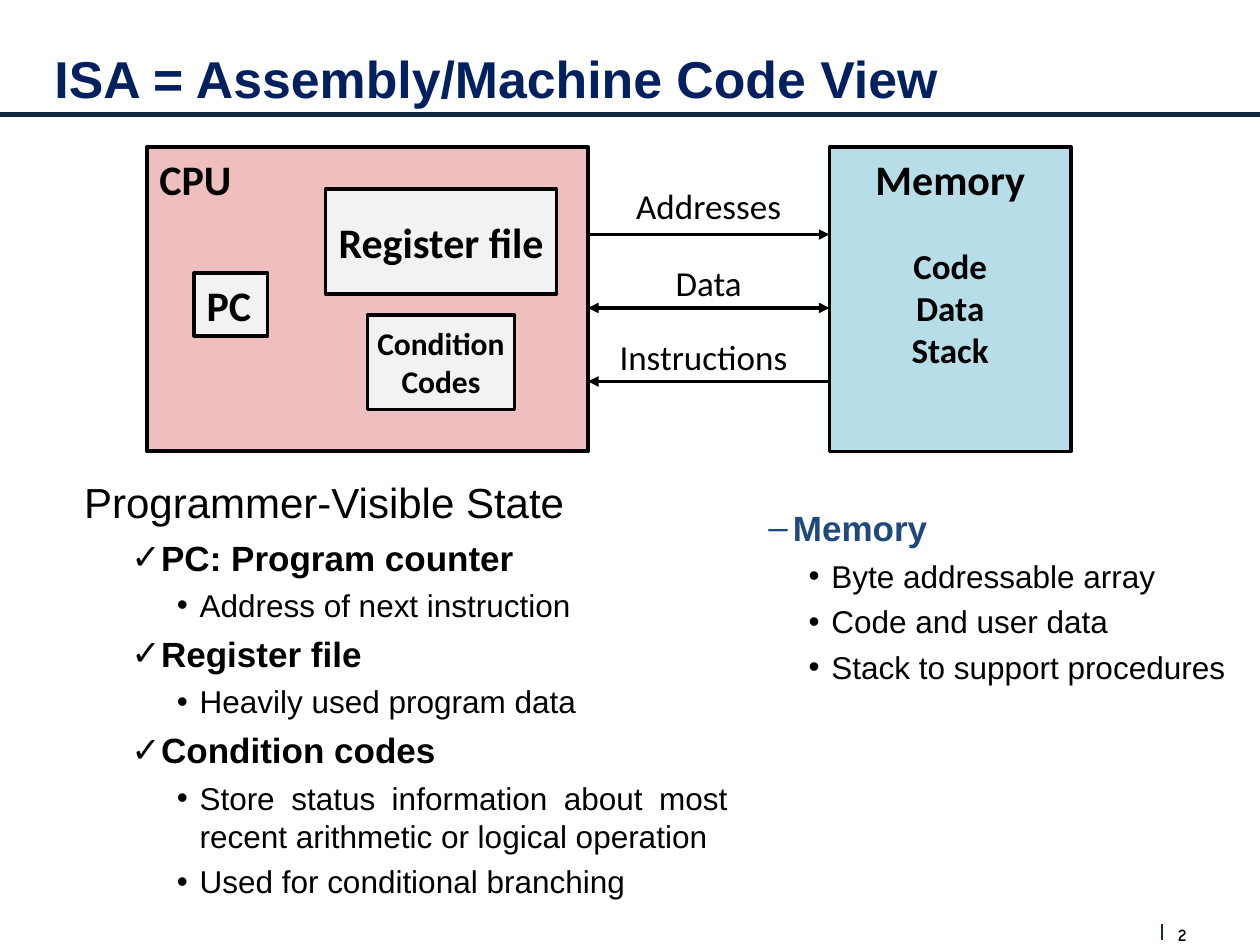
from lxml import etree
from pptx import Presentation
from pptx.dml.color import RGBColor
from pptx.enum.shapes import MSO_CONNECTOR as Conn, MSO_SHAPE as Kind
from pptx.enum.text import MSO_ANCHOR as Anchor, PP_ALIGN as Align
from pptx.oxml.ns import qn
from pptx.util import Pt

BLACK = RGBColor(0x00, 0x00, 0x00)
WHITE = RGBColor(0xFF, 0xFF, 0xFF)
NAVY = RGBColor(0x00, 0x20, 0x60)
RULE = RGBColor(0x10, 0x25, 0x3F)
TICK = RGBColor(0x17, 0x2F, 0x37)
BLUE = RGBColor(0x1F, 0x49, 0x7D)
PINK = RGBColor(0xEF, 0xBF, 0xBF)
AQUA = RGBColor(0xB7, 0xDE, 0xE8)
GREY = RGBColor(0xF2, 0xF2, 0xF2)


def style(para, size, bold=False, color=BLACK, face="Calibri"):
    for run in para.runs:
        font = run.font
        font.size, font.bold, font.name = Pt(size), bold, face
        font.color.rgb = color


def write(shape, text, size, bold=False, align=Align.LEFT, anchor=Anchor.TOP,
          wrap=True, color=BLACK, face="Calibri"):
    frame = shape.text_frame
    frame.text = text
    frame.word_wrap, frame.vertical_anchor = wrap, anchor
    for para in frame.paragraphs:
        para.alignment = align
        style(para, size, bold, color, face)
    return frame


def label(slide, x, y, w, h, text, size, **opts):
    box = slide.shapes.add_textbox(Pt(x), Pt(y), Pt(w), Pt(h))
    return write(box, text, size, **opts)


def block(slide, x, y, w, h, fill, line=2):
    shape = slide.shapes.add_shape(Kind.RECTANGLE, Pt(x), Pt(y), Pt(w), Pt(h))
    shape.shadow.inherit = False
    shape.fill.solid()
    shape.fill.fore_color.rgb = fill
    if line:
        shape.line.color.rgb = BLACK
        shape.line.width = Pt(line)
    else:
        shape.line.fill.background()
    return shape


def rule(slide, x1, y1, x2, y2, color, width, ends=()):
    line = slide.shapes.add_connector(
        Conn.STRAIGHT, Pt(x1), Pt(y1), Pt(x2), Pt(y2))
    line.line.color.rgb = color
    line.line.width = Pt(width)
    stroke = line.line._get_or_add_ln()
    for end in ends:
        etree.SubElement(stroke, qn("a:" + end), type="triangle")
    etree.SubElement(line._element.spPr, qn("a:effectLst"))


def bullet(para, mark, color, left, hang):
    props = para._p.get_or_add_pPr()
    props.set("marL", str(Pt(left)))
    props.set("indent", str(Pt(-hang)))
    if mark:
        tint = etree.SubElement(props, qn("a:buClr"))
        etree.SubElement(tint, qn("a:srgbClr"), val=str(color))
        etree.SubElement(props, qn("a:buFont"), typeface="Arial")
        etree.SubElement(props, qn("a:buChar"), char=mark)
    else:
        etree.SubElement(props, qn("a:buNone"))


def outline(shape, rows, levels):
    """Fill a shape with (level, text) rows, each level having its own look."""
    frame = shape.text_frame
    frame.word_wrap, frame.vertical_anchor = True, Anchor.TOP
    for i, (level, text) in enumerate(rows):
        mark, color, left, hang, size, bold, gap = levels[level]
        para = frame.add_paragraph() if i else frame.paragraphs[0]
        para.text = text
        para.level = level
        bullet(para, mark, color, left, hang)
        para.alignment = Align.JUSTIFY
        if i:
            para.space_before = Pt(gap)
        style(para, size, bold, color, "Arial")


def header(slide, x, y, w, h):
    rule(slide, 0, 65.5, 720, 65.5, RULE, 3)
    frame = label(slide, x, y, w, h, "ISA = Assembly/Machine Code View", 29.6,
                  bold=True, anchor=Anchor.MIDDLE, color=NAVY, face="Arial")
    frame.paragraphs[0].line_spacing = 0.9


def footer(slide, x, y, h):
    rule(slide, x, y, x, y + h, TICK, 0.75)
    frame = label(slide, x + 9, y, 24, 12, "2", 10, bold=True,
                  face="Comic Neue")
    frame.margin_left = frame.margin_right = 0
    frame.margin_top = frame.margin_bottom = 0


def diagram(slide, x, y, w, h):
    cpu, mem = 252, 138
    # CPU and its parts
    write(block(slide, x, y, cpu, h, PINK, 2.25), "CPU", 24, bold=True)
    parts = [("PC", 27, 72, 42, 36, 24, Align.LEFT),
             ("Register file", 102, 24, 132, 60, 24, Align.CENTER),
             ("Condition\nCodes", 126, 96, 84, 54, 18, Align.CENTER)]
    for text, dx, dy, pw, ph, size, align in parts:
        write(block(slide, x + dx, y + dy, pw, ph, GREY), text, size,
              bold=True, align=align, anchor=Anchor.MIDDLE, wrap=False)
    # Memory and its contents
    right = x + w - mem
    write(block(slide, right, y, mem, h, AQUA), "Memory", 24, bold=True,
          align=Align.CENTER, wrap=False)
    label(slide, right + 24, y + 52, 90, 79, "Code\nData\nStack", 20,
          bold=True, align=Align.CENTER)
    # Buses, evenly spaced
    left, gap = x + cpu, right - x - cpu
    buses = [("Addresses", 18, gap, ["tailEnd"]),
             ("Data", 62, gap, ["headEnd", "tailEnd"]),
             ("Instructions", 104, gap - 6, ["headEnd"])]
    for i, (text, dy, lw, ends) in enumerate(buses):
        level = y + 50 + 42 * i
        rule(slide, left, level, right, level, BLACK, 2, ends)
        label(slide, left, y + dy, lw, 31, text, 20, align=Align.CENTER)


def state(slide, x, y, w, h):
    rows = [(0, "Programmer-Visible State"),
            (1, "PC: Program counter"),
            (2, "Address of next instruction"),
            (1, "Register file"),
            (2, "Heavily used program data"),
            (1, "Condition codes"),
            (2, "Store status information about most recent arithmetic "
                "or logical operation"),
            (2, "Used for conditional branching")]
    levels = [("", BLACK, 18, 18, 24, False, 6),
              ("✓", BLACK, 44, 17, 20, True, 5),
              ("•", BLACK, 66, 13, 18, False, 4.5)]
    outline(block(slide, x, y, w, h, WHITE, 0), rows, levels)


def memory(slide, x, y, w, h):
    rows = [(1, "Memory"),
            (2, "Byte addressable array"),
            (2, "Code and user data"),
            (2, "Stack to support procedures")]
    levels = {1: ("–", BLUE, 23, 14, 20, True, 5),
              2: ("•", BLACK, 45, 13, 18, False, 4.5)}
    box = slide.shapes.add_textbox(Pt(x), Pt(y), Pt(w), Pt(h))
    outline(box, rows, levels)


def main():
    deck = Presentation()
    deck.slide_width, deck.slide_height = Pt(720), Pt(540)
    slide = deck.slides.add_slide(deck.slide_layouts[6])
    header(slide, 24, 24, 708, 45)
    footer(slide, 664, 528, 9)
    state(slide, 41, 269, 382, 250)
    diagram(slide, 84, 84, 528, 174)
    memory(slide, 423, 286, 285, 124)
    deck.save("out.pptx")


if __name__ == "__main__":
    main()
